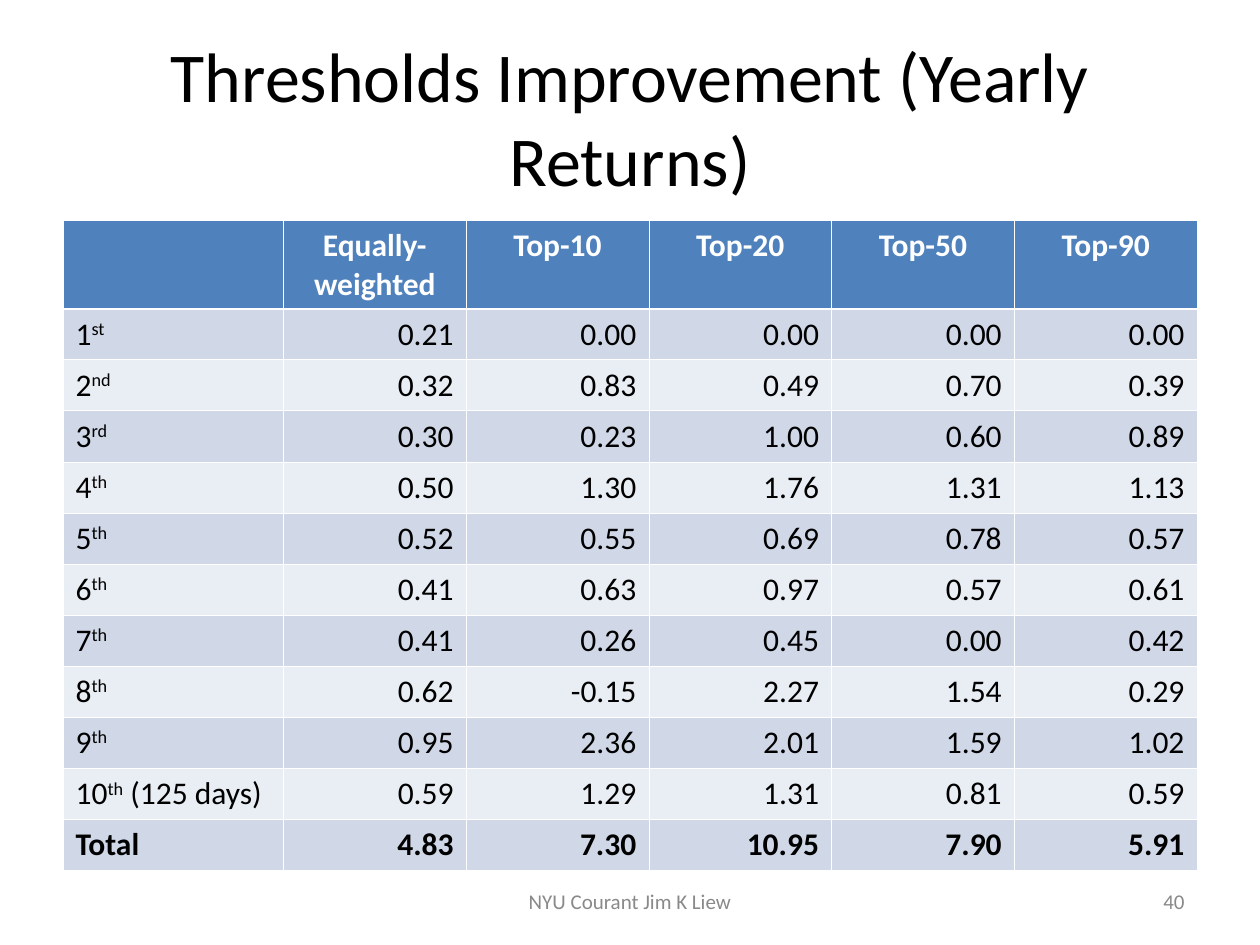
from lxml.etree import SubElement
from pptx import Presentation
from pptx.dml.color import RGBColor
from pptx.enum.text import MSO_ANCHOR as Anchor, PP_ALIGN as Align
from pptx.oxml.ns import qn
from pptx.util import Inches, Pt

# Content
TITLE = "Thresholds Improvement (Yearly Returns)"
FOOTER = "NYU Courant Jim K Liew"
PAGE_NUMBER = "40"
HEADER = ["", "Equally-weighted", "Top-10", "Top-20", "Top-50", "Top-90"]
# Row label as (base, superscript, rest), then one value per column
ROWS = [
    (("1", "st", ""), "0.21", "0.00", "0.00", "0.00", "0.00"),
    (("2", "nd", ""), "0.32", "0.83", "0.49", "0.70", "0.39"),
    (("3", "rd", ""), "0.30", "0.23", "1.00", "0.60", "0.89"),
    (("4", "th", ""), "0.50", "1.30", "1.76", "1.31", "1.13"),
    (("5", "th", ""), "0.52", "0.55", "0.69", "0.78", "0.57"),
    (("6", "th", ""), "0.41", "0.63", "0.97", "0.57", "0.61"),
    (("7", "th", ""), "0.41", "0.26", "0.45", "0.00", "0.42"),
    (("8", "th", ""), "0.62", "-0.15", "2.27", "1.54", "0.29"),
    (("9", "th", ""), "0.95", "2.36", "2.01", "1.59", "1.02"),
    (("10", "th", " (125 days)"), "0.59", "1.29", "1.31", "0.81", "0.59"),
    (("Total", "", ""), "4.83", "7.30", "10.95", "7.90", "5.91"),
]

# Style
COLORS = {"text": "000000", "white": "FFFFFF", "footer": "898989",
          "header": "4F81BD", "odd": "D0D8E8", "even": "E9EDF4"}
FONT = "Calibri"
THIN, THICK = 0.45, 1.47

# Layout, in inches
WIDTH, HEIGHT = 10, 7.5
MARGIN = 0.05 * WIDTH
CONTENT = WIDTH - 2 * MARGIN
TABLE_TOP, TABLE_HEIGHT = 1.75, 5.16
HEADER_HEIGHT, LABEL_WIDTH = 0.7, 1.75
VALUE_WIDTH = (CONTENT - LABEL_WIDTH) / (len(HEADER) - 1)
ROW_HEIGHT = (TABLE_HEIGHT - HEADER_HEIGHT) / len(ROWS)
FOOTER_TOP, FOOTER_HEIGHT, FOOTER_WIDTH, NUMBER_WIDTH = 6.95, 0.4, 3.17, 2.33


def add_run(paragraph, text, size, color, bold=False, superscript=False):
    run = paragraph.add_run()
    run.text = text
    run.font.name, run.font.size, run.font.bold = FONT, Pt(size), bold
    run.font.color.rgb = RGBColor.from_string(COLORS[color])
    if superscript:
        run.font._element.set("baseline", "30000")


def add_text(slide, text, left, top, width, height, size, color, align):
    frame = slide.shapes.add_textbox(*map(Inches, (left, top, width, height))).text_frame
    frame.word_wrap = True
    frame.vertical_anchor = Anchor.MIDDLE
    paragraph = frame.paragraphs[0]
    paragraph.alignment = align
    add_run(paragraph, text, size, color)


def style_cell(cell, row, align):
    """Set borders, fill and alignment; return the paragraph to write in."""
    widths = {"lnL": THIN, "lnR": THIN,
              "lnT": THICK if row == 1 else THIN,
              "lnB": THICK if row == 0 else THIN}
    properties = cell._tc.get_or_add_tcPr()
    for side, width in widths.items():
        line = SubElement(properties, qn(f"a:{side}"), w=str(Pt(width)))
        fill = SubElement(line, qn("a:solidFill"))
        SubElement(fill, qn("a:srgbClr"), val=COLORS["white"])
    name = "header" if row == 0 else "odd" if row % 2 else "even"
    cell.fill.solid()
    cell.fill.fore_color.rgb = RGBColor.from_string(COLORS[name])
    paragraph = cell.text_frame.paragraphs[0]
    paragraph.alignment = align
    return paragraph


def add_returns_table(slide):
    table = slide.shapes.add_table(
        len(ROWS) + 1, len(HEADER), Inches(MARGIN), Inches(TABLE_TOP),
        Inches(CONTENT), Inches(TABLE_HEIGHT)).table
    for index, column in enumerate(table.columns):
        column.width = Inches(VALUE_WIDTH if index else LABEL_WIDTH)
    for index, row in enumerate(table.rows):
        row.height = Inches(ROW_HEIGHT if index else HEADER_HEIGHT)

    # Header row
    for column, heading in enumerate(HEADER):
        paragraph = style_cell(table.cell(0, column), 0, Align.CENTER)
        if heading:
            add_run(paragraph, heading, 18, "white", bold=True)

    # Body rows, the last one bold
    for row, (label, *values) in enumerate(ROWS, start=1):
        bold = row == len(ROWS)
        paragraph = style_cell(table.cell(row, 0), row, Align.LEFT)
        for part, text in enumerate(label):
            if text:
                add_run(paragraph, text, 18, "text", bold, superscript=part == 1)
        for column, value in enumerate(values, start=1):
            paragraph = style_cell(table.cell(row, column), row, Align.RIGHT)
            add_run(paragraph, value, 18, "text", bold)


def main():
    presentation = Presentation()
    presentation.slide_width, presentation.slide_height = Inches(WIDTH), Inches(HEIGHT)
    slide = presentation.slides.add_slide(presentation.slide_layouts[6])

    # Title, table, footer
    add_text(slide, TITLE, MARGIN, 0.04 * HEIGHT, CONTENT, 1.25, 40, "text", Align.CENTER)
    add_returns_table(slide)
    add_text(slide, FOOTER, (WIDTH - FOOTER_WIDTH) / 2, FOOTER_TOP, FOOTER_WIDTH,
             FOOTER_HEIGHT, 12, "footer", Align.CENTER)
    add_text(slide, PAGE_NUMBER, WIDTH - MARGIN - NUMBER_WIDTH, FOOTER_TOP,
             NUMBER_WIDTH, FOOTER_HEIGHT, 12, "footer", Align.RIGHT)
    presentation.save("out.pptx")


if __name__ == "__main__":
    main()
